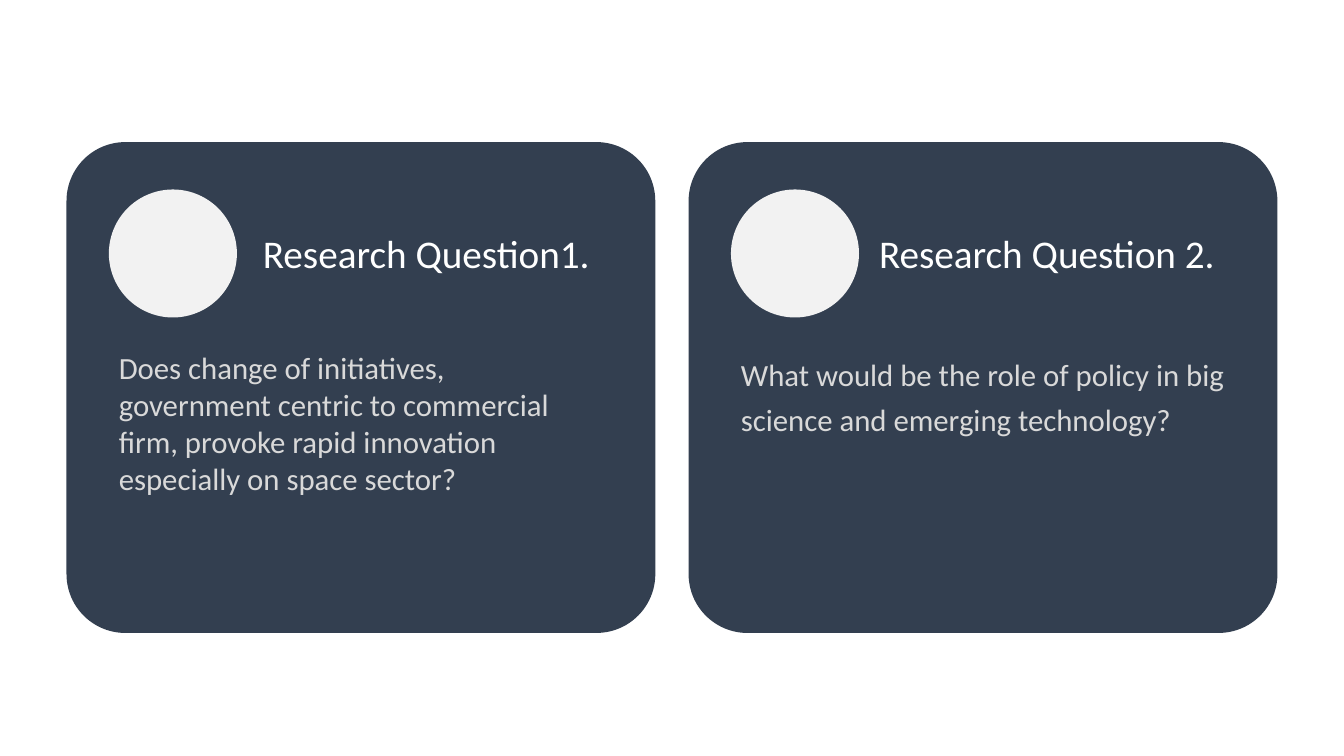
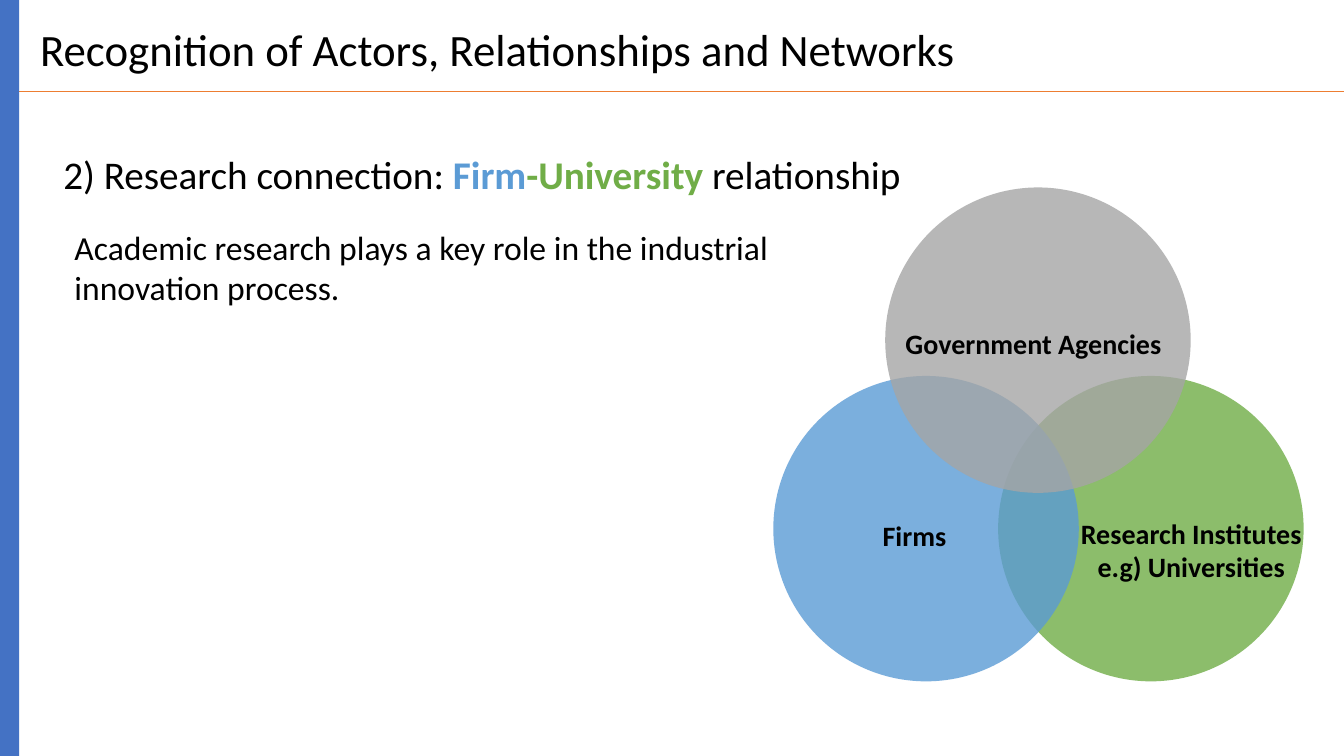
from pptx import Presentation
from pptx.dml.color import RGBColor
from pptx.enum.shapes import MSO_CONNECTOR, MSO_SHAPE
from pptx.enum.text import PP_ALIGN
from pptx.oxml.ns import qn
from pptx.oxml.xmlchemy import OxmlElement
from pptx.util import Pt

PX = 9144
WIDTH, HEIGHT = 1333, 750
FONT = "Calibri"
WHITE = RGBColor(0xFF, 0xFF, 0xFF)
BLACK = RGBColor(0x00, 0x00, 0x00)
NAVY = RGBColor(0x33, 0x3F, 0x50)
PALE_GRAY = RGBColor(0xF2, 0xF2, 0xF2)
LIGHT_GRAY = RGBColor(0xD9, 0xD9, 0xD9)
ORANGE = RGBColor(0xED, 0x7D, 0x31)
BAND_BLUE = RGBColor(0x44, 0x72, 0xC4)
GREEN = RGBColor(0x70, 0xAD, 0x47)
BLUE = RGBColor(0x5B, 0x9B, 0xD5)
GRAY = RGBColor(0xA5, 0xA5, 0xA5)

LABEL = {"size": Pt(20), "bold": True, "color": BLACK}
HEADING = {"size": Pt(28), "color": BLACK}
CARD_HEADING = {"size": Pt(28), "color": WHITE}
CARD_BODY = {"size": Pt(22), "color": LIGHT_GRAY}
BODY = {"size": Pt(24), "color": BLACK}
TITLE = {"size": Pt(32), "color": BLACK}


def add_filled_shape(shapes, kind, box, color, opacity=100):
    shape = shapes.add_shape(kind, *[value * PX for value in box])
    shape.shadow.inherit = False
    shape.fill.solid()
    shape.fill.fore_color.rgb = color
    shape.line.fill.background()
    if opacity < 100:
        alpha = OxmlElement("a:alpha")
        alpha.set("val", str(opacity * 1000))
        shape.element.spPr.find(".//" + qn("a:srgbClr")).append(alpha)
    return shape


def add_text(shapes, box, paragraphs, text_format, layout=None, wrap=True):
    text_box = shapes.add_textbox(*[value * PX for value in box])
    frame = text_box.text_frame
    frame.word_wrap = wrap
    for index, runs in enumerate(paragraphs):
        paragraph = frame.add_paragraph() if index else frame.paragraphs[0]
        for name, value in (layout or {}).items():
            setattr(paragraph, name, value)
        for text, changes in runs:
            run = paragraph.add_run()
            run.text = text
            values = {"name": FONT, **text_format, **changes}
            run.font.color.rgb = values.pop("color")
            for name, value in values.items():
                setattr(run.font, name, value)


presentation = Presentation()
presentation.slide_width = WIDTH * PX
presentation.slide_height = HEIGHT * PX
blank_layout = presentation.slide_layouts[6]

slide = presentation.slides.add_slide(blank_layout)
cards = [
    (66, 251, "Research Question1.",
     "Does change of initiatives, government centric to commercial firm, "
     "provoke rapid innovation especially on space sector?", {}),
    (683, 862, "Research Question 2.",
     "What would be the role of policy in big science and emerging technology?",
     {"alignment": PP_ALIGN.JUSTIFY, "line_spacing": 1.2}),
]
for left, heading_left, heading, question, layout in cards:
    shapes = slide.shapes.add_group_shape().shapes
    card = add_filled_shape(
        shapes, MSO_SHAPE.ROUNDED_RECTANGLE, (left, 141, 584, 487), NAVY)
    card.adjustments[0] = 0.12
    add_filled_shape(shapes, MSO_SHAPE.OVAL, (left + 42, 188, 127, 127), PALE_GRAY)
    add_text(shapes, (heading_left, 223, 390, 57), [[(heading, {})]], CARD_HEADING)
    add_text(shapes, (left + 42, 341, 499, 158), [[(question, {})]], CARD_BODY, layout)

slide = presentation.slides.add_slide(blank_layout)
rule = slide.shapes.add_connector(
    MSO_CONNECTOR.STRAIGHT, 19 * PX, 91 * PX, WIDTH * PX, 91 * PX)
rule.line.color.rgb = ORANGE
rule.line.width = Pt(0.5)
rule.element.spPr.append(OxmlElement("a:effectLst"))
add_filled_shape(slide.shapes, MSO_SHAPE.RECTANGLE, (0, 0, 19, HEIGHT), BAND_BLUE)

for left, top, color in [(990, 373, GREEN), (767, 373, BLUE), (878, 186, GRAY)]:
    add_filled_shape(slide.shapes, MSO_SHAPE.OVAL, (left, top, 303, 303), color, 80)

actor_labels = [
    ((865, 509, 84, 44), ["Firms"]),
    ((887, 319, 276, 44), ["Government Agencies"]),
    ((1061, 507, 241, 77), ["Research Institutes", "e.g) Universities"]),
]
for box, lines in actor_labels:
    add_text(slide.shapes, box, [[(line, {})] for line in lines], LABEL,
             {"alignment": PP_ALIGN.CENTER}, wrap=False)

relationship = [
    ("2) Research connection: ", {}),
    ("Firm", {"color": BLUE, "bold": True}),
    ("-University ", {"color": GREEN, "bold": True}),
    ("relationship", {}),
]
add_text(slide.shapes, (53, 144, 854, 57), [relationship], HEADING,
         {"alignment": PP_ALIGN.JUSTIFY})
add_text(slide.shapes, (64, 220, 708, 131),
         [[("Academic research plays a key role in the industrial innovation process.", {})]],
         BODY)
add_text(slide.shapes, (30, 23, 937, 59),
         [[("Recognition of Actors, Relationships and Networks", {})]],
         TITLE, {"line_spacing": 0.9})

presentation.save("out.pptx")
